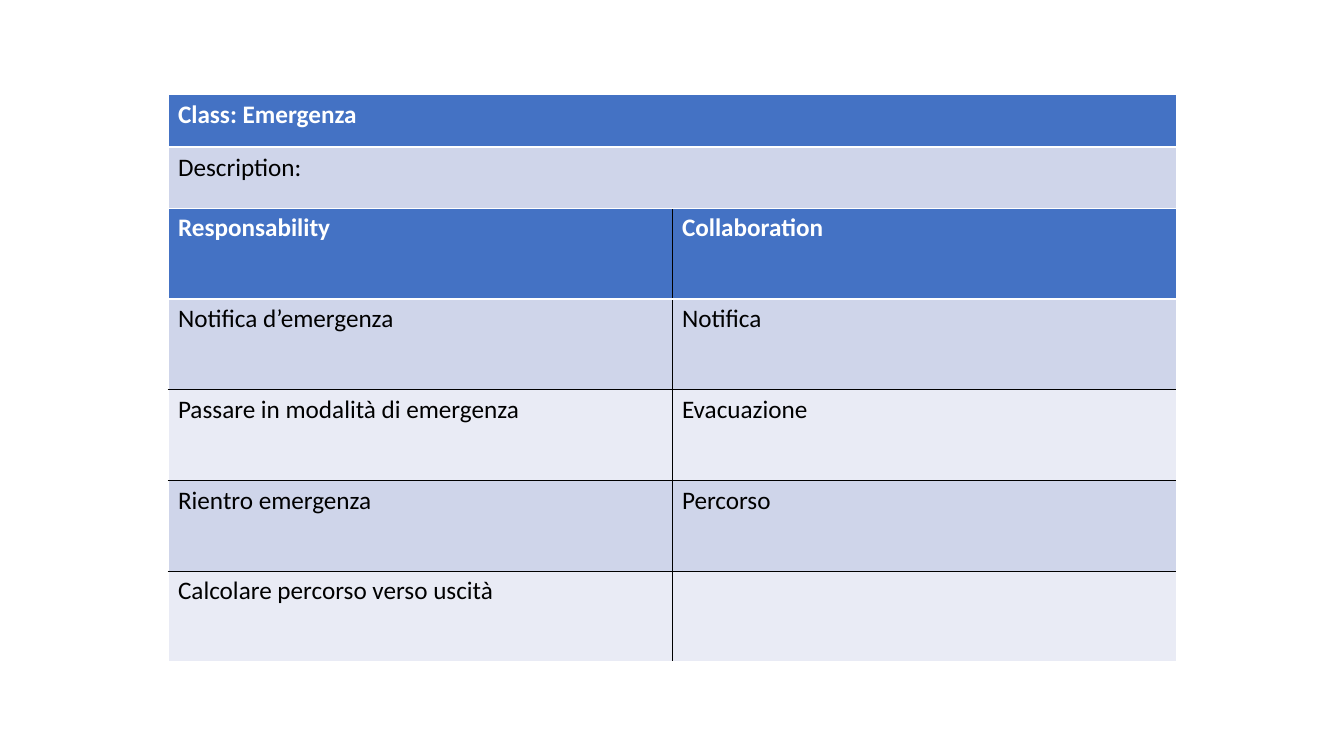
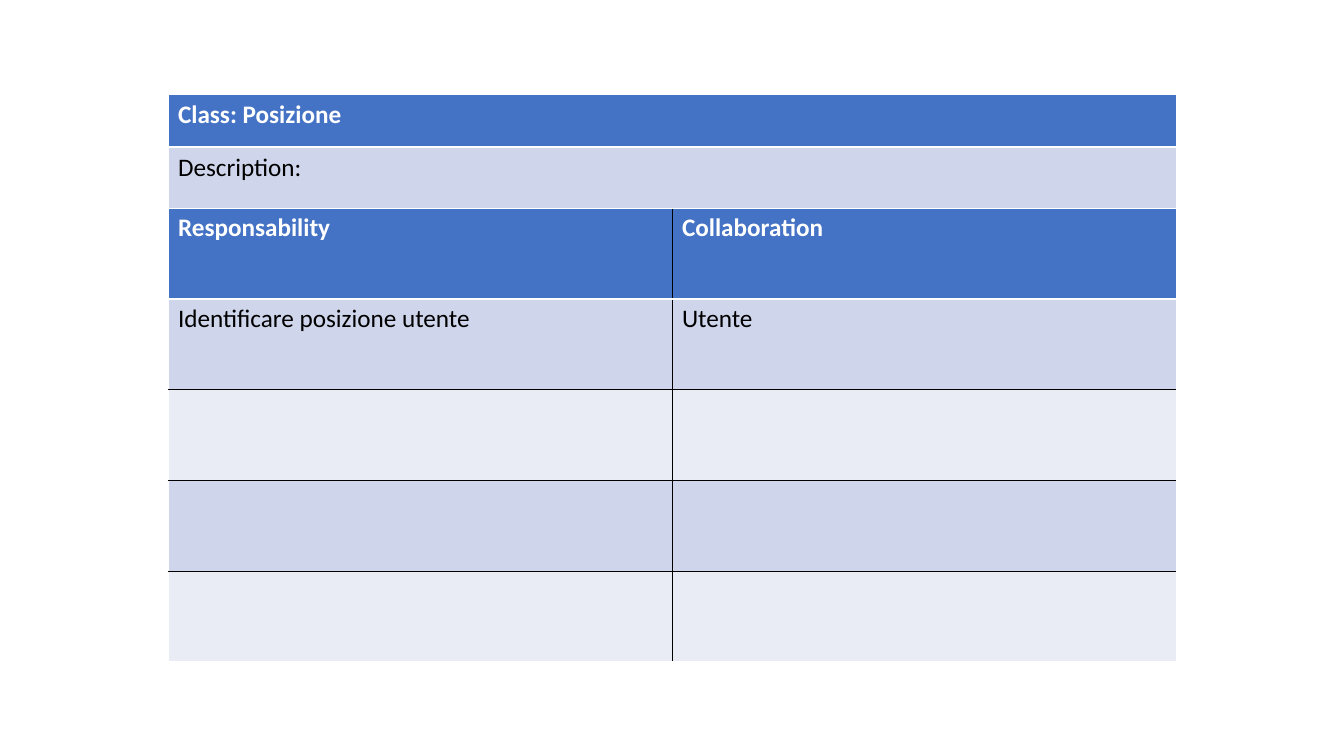
import pptx
import pptx.util
import pptx.dml.color
import lxml.etree
import pptx.oxml.ns

COLORS = {"header": "4472C4", "band": "CFD5EA", "light": "E9EBF5",
          "white": "FFFFFF", "black": "000000"}


class Deck:
    """Class-card slides with a shared table style, placed by shares of the slide."""

    font, size = "Calibri", 18
    thin, thick = 0.45, 1.47
    left, top, width = 0.125, 0.125, 0.75
    title_rows = (0.07, 0.08)
    body_row = 0.12

    def __init__(self):
        self.prs = pptx.Presentation()
        self.prs.slide_width = pptx.util.Inches(13.34)
        self.prs.slide_height = pptx.util.Inches(7.5)

    def x(self, share):
        return round(self.prs.slide_width * share)

    def y(self, share):
        return round(self.prs.slide_height * share)

    def color(self, name):
        return pptx.dml.color.RGBColor.from_string(COLORS[name])

    def new_slide(self):
        self.s = self.prs.slides.add_slide(self.prs.slide_layouts[6])

    def border(self, cell, side, color, width):
        tag = pptx.oxml.ns.qn
        ln = lxml.etree.SubElement(cell._tc.get_or_add_tcPr(), tag(f"a:ln{side}"),
                                   w=str(pptx.util.Pt(width)))
        fill = lxml.etree.SubElement(ln, tag("a:solidFill"))
        lxml.etree.SubElement(fill, tag("a:srgbClr"), val=COLORS[color])

    def edge(self, before, count):
        if before in (0, count):
            return "white", self.thin
        return "black", self.thin

    def row_edge(self, before, count):
        return ("white", self.thick) if before == 1 else self.edge(before, count)

    def cell(self, cell, text, i, j, rows, cols):
        self.border(cell, "L", *self.edge(j, cols))
        self.border(cell, "R", *self.edge(j + 1, cols))
        self.border(cell, "T", *self.row_edge(i, rows))
        self.border(cell, "B", *self.row_edge(i + 1, rows))
        cell.fill.solid()
        fill = "header" if i == 0 else ("light", "band")[i % 2]
        cell.fill.fore_color.rgb = self.color(fill)
        cell.text = text
        font = cell.text_frame.paragraphs[0].font
        font.name, font.size = self.font, pptx.util.Pt(self.size)
        font.bold = i == 0
        font.color.rgb = self.color("white" if i == 0 else "black")

    def table(self, top, heights, data):
        rows, cols = len(data), len(data[0])
        table = self.s.shapes.add_table(rows, cols, self.x(self.left), self.y(top),
                                        self.x(self.width), self.y(sum(heights))).table
        table.horz_banding = False
        for i, (height, texts) in enumerate(zip(heights, data)):
            table.rows[i].height = self.y(height)
            for j, text in enumerate(texts):
                self.cell(table.cell(i, j), text, i, j, rows, cols)

    def card(self, name, duties):
        self.new_slide()
        data = [("Responsability", "Collaboration"), *duties]
        data += [("", "")] * (5 - len(data))
        self.table(self.top + sum(self.title_rows), [self.body_row] * len(data), data)
        self.table(self.top, self.title_rows, [(f"Class: {name}",), ("Description:",)])


def main():
    deck = Deck()
    deck.card("Emergenza", [
        ("Notifica d’emergenza", "Notifica"),
        ("Passare in modalità di emergenza", "Evacuazione"),
        ("Rientro emergenza", "Percorso"),
        ("Calcolare percorso verso uscità", ""),
    ])
    deck.card("Posizione", [("Identificare posizione utente", "Utente")])
    deck.prs.save("out.pptx")


if __name__ == "__main__":
    main()
